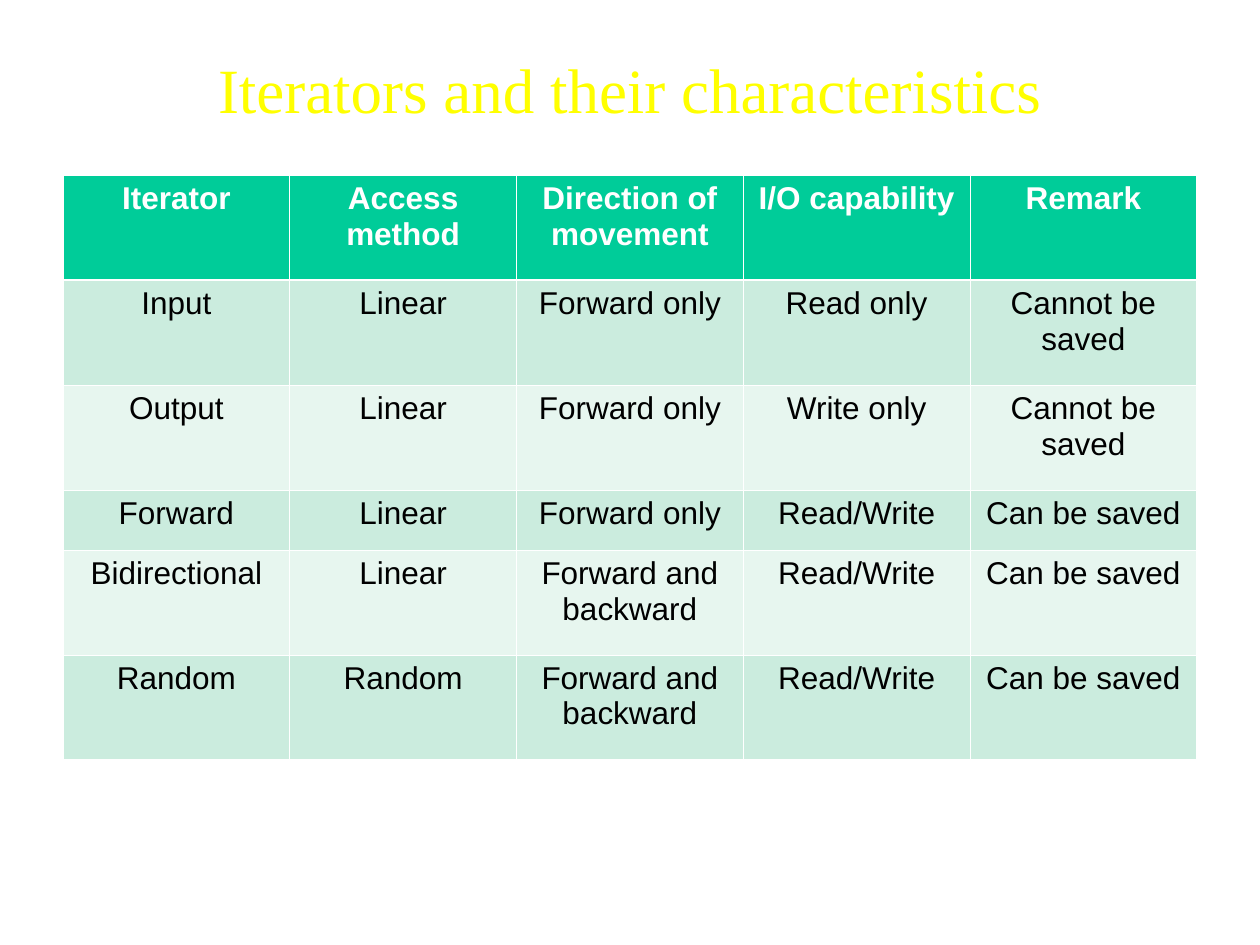
from lxml.etree import SubElement
from pptx import Presentation
from pptx.dml.color import RGBColor
from pptx.enum.text import MSO_ANCHOR, PP_ALIGN
from pptx.oxml.ns import qn
from pptx.util import Pt

PX = 914400 // 126
COLORS = {
    "title": "FFFF00",
    "header": "00CC99",
    "odd_row": "CBECDE",
    "even_row": "E7F6EF",
    "white": "FFFFFF",
    "black": "000000",
}

TITLE = "Iterators and their characteristics"
HEADER = ["Iterator", "Access method", "Direction of movement", "I/O capability", "Remark"]
ITERATORS = [
    ["Input", "Linear", "Forward only", "Read only", "Cannot be saved"],
    ["Output", "Linear", "Forward only", "Write only", "Cannot be saved"],
    ["Forward", "Linear", "Forward only", "Read/Write", "Can be saved"],
    ["Bidirectional", "Linear", "Forward and backward", "Read/Write", "Can be saved"],
    ["Random", "Random", "Forward and backward", "Read/Write", "Can be saved"],
]
ROW_HEIGHTS = [105, 105, 105, 60, 105, 105]
LEFT, TABLE_TOP, WIDTH = 63, 175, 1134
THIN, THICK = 0.45, 1.47


def write(frame, text, font, size, color, bold=False):
    para = frame.paragraphs[0]
    para.alignment = PP_ALIGN.CENTER
    span = para.add_run()
    span.text = text
    span.font.name = font
    span.font.size = Pt(size)
    span.font.bold = bold
    span.font.color.rgb = RGBColor.from_string(COLORS[color])


def add_borders(cell, top, bottom):
    """Draw white cell borders; call before the fill, which must follow them in the XML."""
    properties = cell._tc.get_or_add_tcPr()
    for side, points in (("L", THIN), ("R", THIN), ("T", top), ("B", bottom)):
        line = SubElement(properties, qn(f"a:ln{side}"), w=str(int(Pt(points))))
        fill = SubElement(line, qn("a:solidFill"))
        SubElement(fill, qn("a:srgbClr"), val=COLORS["white"])


def add_title(page):
    box = page.shapes.add_textbox(LEFT * PX, 38 * PX, WIDTH * PX, 157 * PX)
    frame = box.text_frame
    frame.word_wrap = True
    frame.vertical_anchor = MSO_ANCHOR.TOP
    frame.margin_top = 13 * PX
    write(frame, TITLE, "Times New Roman", 36, "title")


def add_iterator_table(page):
    rows = [HEADER] + ITERATORS
    table = page.shapes.add_table(
        len(rows), len(HEADER), LEFT * PX, TABLE_TOP * PX, WIDTH * PX, sum(ROW_HEIGHTS) * PX
    ).table
    for column in table.columns:
        column.width = WIDTH * PX // len(HEADER)
    for index, (texts, height) in enumerate(zip(rows, ROW_HEIGHTS)):
        table.rows[index].height = height * PX
        is_header = index == 0
        fill = "header" if is_header else "odd_row" if index % 2 else "even_row"
        for cell, text in zip(table.rows[index].cells, texts):
            add_borders(cell, THICK if index == 1 else THIN, THICK if is_header else THIN)
            cell.fill.solid()
            cell.fill.fore_color.rgb = RGBColor.from_string(COLORS[fill])
            write(cell.text_frame, text, "Arial", 18, "white" if is_header else "black", is_header)


def main():
    deck = Presentation()
    deck.slide_width, deck.slide_height = 1260 * PX, 945 * PX
    page = deck.slides.add_slide(deck.slide_layouts[6])
    add_title(page)
    add_iterator_table(page)
    deck.save("out.pptx")


if __name__ == "__main__":
    main()
